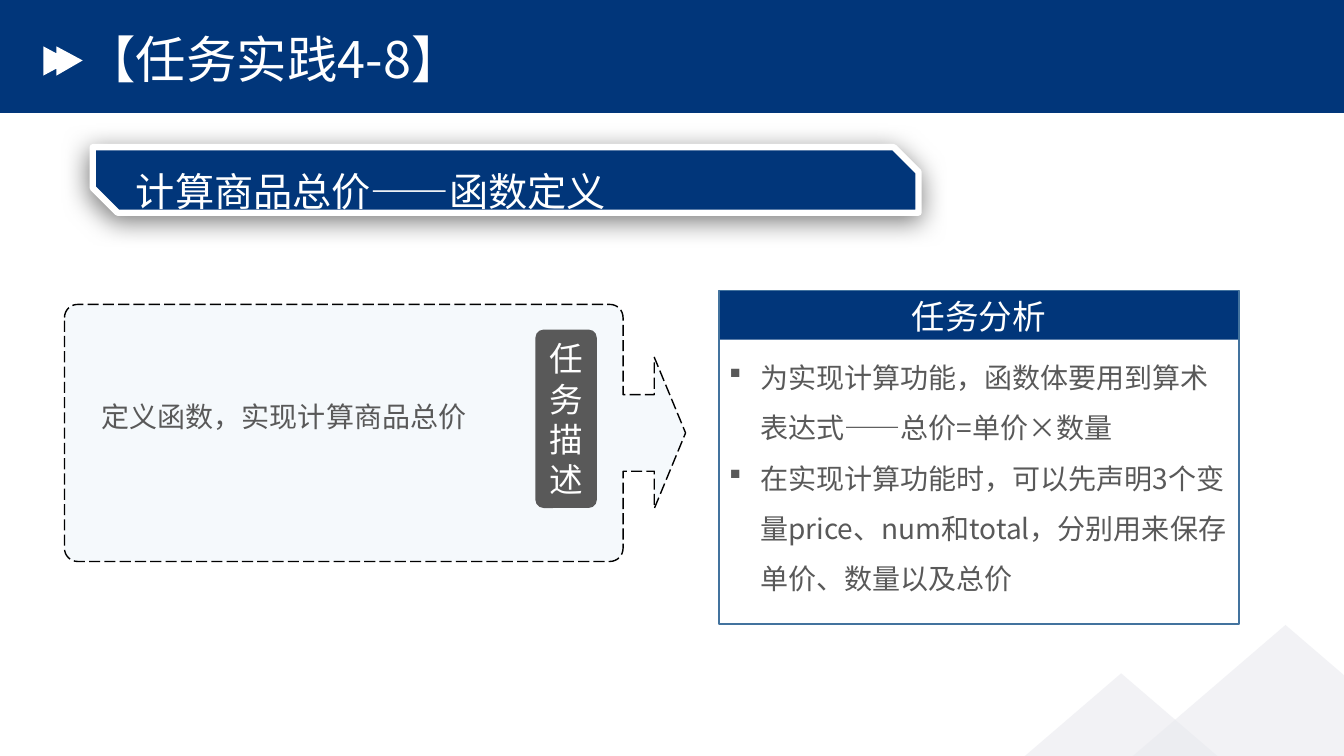
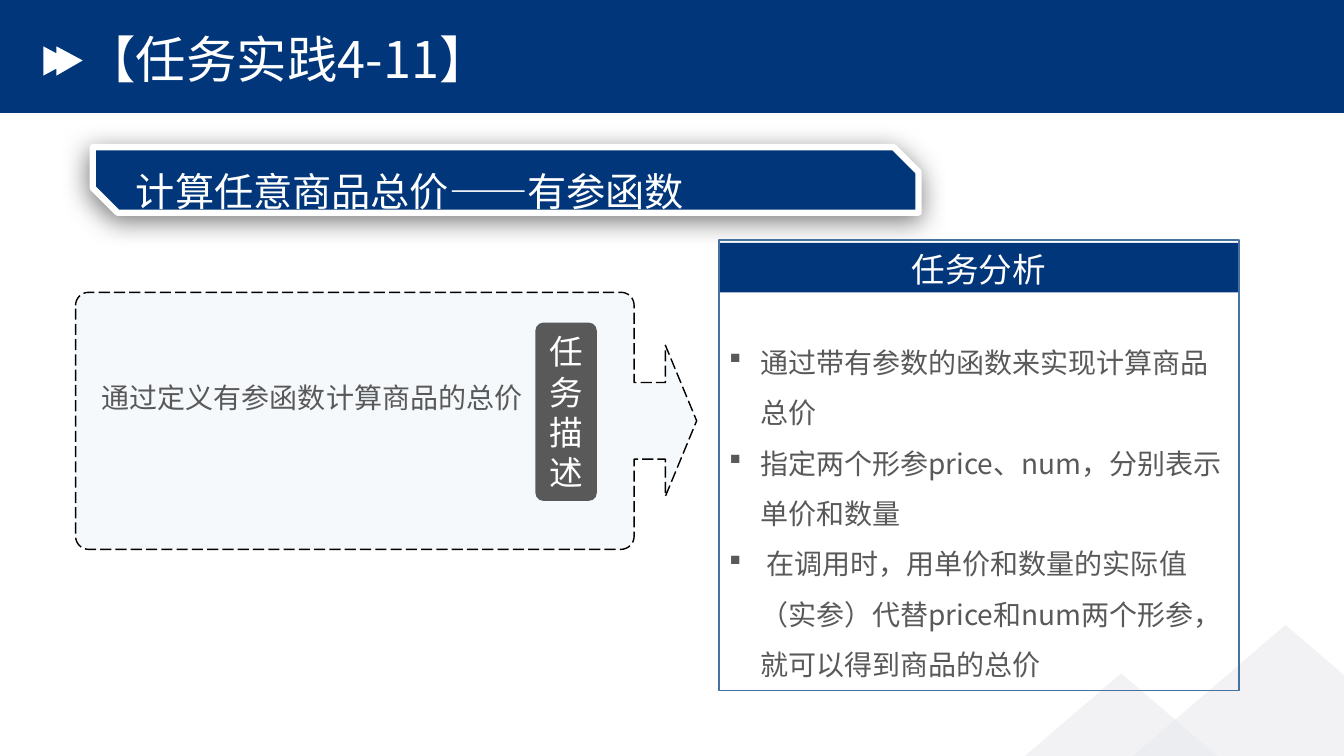
from math import cos, pi, sin

from pptx import Presentation
from pptx.dml.color import RGBColor
from pptx.enum.dml import MSO_LINE
from pptx.enum.shapes import MSO_SHAPE as SHAPE
from pptx.enum.text import MSO_ANCHOR as ANCHOR, PP_ALIGN as ALIGN
from pptx.oxml.ns import qn
from pptx.util import Inches, Pt
from lxml.etree import SubElement

NAVY = RGBColor(0x01, 0x36, 0x7A)
WHITE = RGBColor(0xFF, 0xFF, 0xFF)
BLACK = RGBColor(0x00, 0x00, 0x00)
GRAY = RGBColor(0x59, 0x59, 0x59)
MIST = RGBColor(0xE9, 0xEA, 0xEF)
SKY = RGBColor(0xBD, 0xD7, 0xEE)
STEEL = RGBColor(0x43, 0x73, 0x9E)
FONT = "Noto Sans CJK SC"
BADGE_FONT = "Calibri"

TASKS = [
    {
        "title": "【任务实践4-8】",
        "subtitle": "计算商品总价——函数定义",
        "callout": {"x": 0.64, "y": 3.02, "text": "定义函数，实现计算商品总价",
                    "text_at": (0.27, 0.79), "badge_at": (4.67, 0.25)},
        "panel": {"y": 2.88, "h": 3.31, "bar_gap": 0, "body_gap": 0.48, "items": [
            "为实现计算功能，函数体要用到算术表达式——总价=单价×数量",
            "在实现计算功能时，可以先声明3个变量price、num和total，分别用来保存单价、数量以及总价",
        ]},
    },
    {
        "title": "【任务实践4-11】",
        "subtitle": "计算任意商品总价——有参函数",
        "callout": {"x": 0.75, "y": 2.9, "text": "通过定义有参函数计算商品的总价",
                    "text_at": (0.16, 0.73), "badge_at": (4.56, 0.3)},
        "panel": {"y": 2.38, "h": 4.47, "bar_gap": 0.03, "body_gap": 0.83, "items": [
            "通过带有参数的函数来实现计算商品总价",
            "指定两个形参price、num，分别表示单价和数量",
            " 在调用时，用单价和数量的实际值（实参）代替price和num两个形参，就可以得到商品的总价",
        ]},
    },
]


def paint(sp, fill=None, line=None, width=1, alpha=None):
    sp.shadow.inherit = False
    if fill is None:
        sp.fill.background()
    else:
        sp.fill.solid()
        sp.fill.fore_color.rgb = fill
    if alpha is not None:
        color = sp.fill._xPr.find(qn("a:solidFill"))[0]
        SubElement(color, qn("a:alpha")).set("val", str(alpha * 1000))
    if line is None:
        sp.line.fill.background()
    else:
        sp.line.color.rgb = line
        sp.line.width = Pt(width)
    return sp


def add_shape(slide, kind, x, y, w, h, **style):
    sp = slide.shapes.add_shape(kind, Inches(x), Inches(y), Inches(w), Inches(h))
    return paint(sp, **style)


def add_outline(slide, points, **style):
    points = [(Inches(x), Inches(y)) for x, y in points]
    builder = slide.shapes.build_freeform(*points[0])
    builder.add_line_segments(points[1:], close=True)
    return paint(builder.convert_to_shape(), **style)


def write(sp, lines, size, color, font=FONT, align=ALIGN.LEFT,
          anchor=ANCHOR.TOP, spacing=1.0):
    tf = sp.text_frame
    tf.word_wrap = True
    tf.vertical_anchor = anchor
    tf.text = "\n".join(lines)
    for p in tf.paragraphs:
        p.alignment = align
        p.line_spacing = spacing
        for r in p.runs:
            r.font.size = Pt(size)
            r.font.name = font
            r.font.color.rgb = color
            SubElement(r.font._element, qn("a:ea")).set("typeface", font)
    return tf


def add_text(slide, x, y, w, h, lines, size, color, **style):
    sp = slide.shapes.add_textbox(Inches(x), Inches(y), Inches(w), Inches(h))
    return write(sp, lines, size, color, **style)


def add_bullet(p):
    pPr = p._p.get_or_add_pPr()
    pPr.set("marL", str(Inches(0.31)))
    pPr.set("indent", str(-Inches(0.31)))
    SubElement(pPr, qn("a:buFont")).set("typeface", "Wingdings")
    SubElement(pPr, qn("a:buChar")).set("char", "§")


def add_drop_shadow(sp):
    effects = sp._element.spPr.find(qn("a:effectLst"))
    shadow = SubElement(effects, qn("a:outerShdw"), blurRad=str(Pt(19)),
                        dist=str(Pt(4)), dir=str(112 * 60000), rotWithShape="0")
    color = SubElement(shadow, qn("a:srgbClr"), val=str(BLACK))
    SubElement(color, qn("a:alpha"), val="51000")


def add_header(slide, title):
    add_shape(slide, SHAPE.RECTANGLE, 0, 0, 13.33, 1.12, fill=NAVY)
    add_outline(slide, [(0.43, 0.46), (0.56, 0.53), (0.56, 0.46), (0.82, 0.6),
                        (0.56, 0.75), (0.56, 0.68), (0.43, 0.75)], fill=WHITE)
    add_text(slide, 0.75, 0.34, 6.58, 0.56, [title], 36, WHITE,
             anchor=ANCHOR.MIDDLE, spacing=0.9)


def add_hills(slide):
    for x, y in ((8.92, 6.68), (10.55, 6.2)):
        add_shape(slide, SHAPE.ISOSCELES_TRIANGLE, x, y, 4.4, 1.89,
                  fill=MIST, alpha=59)


def add_banner(slide, subtitle, x=0.92, y=1.46):
    sp = add_shape(slide, SHAPE.SNIP_2_DIAG_RECTANGLE, x, y, 8.19, 0.65,
                   fill=NAVY, line=WHITE, width=4.5)
    sp.adjustments[0] = 0
    sp.adjustments[1] = 0.378
    add_drop_shadow(sp)
    tf = add_text(slide, x + 0.33, y + 0.01, 7.4, 0.7, [subtitle], 28, WHITE,
                  spacing=1.3)
    tf.paragraphs[0].space_before = Pt(10)


def callout_points(x, y, w=5.54, h=2.55, radius=0.13, head=0.31, steps=8):
    def corner(cx, cy, start):
        angles = [start + pi / 2 * i / steps for i in range(steps + 1)]
        return [(cx + radius * cos(a), cy + radius * sin(a)) for a in angles]

    right, mid = x + w, y + h / 2
    near_x, far_x = x + radius, right - radius
    near_y, far_y = y + radius, y + h - radius
    neck, wing = 0.38, 0.75
    arrow = [(right, mid - neck), (right + head, mid - neck),
             (right + head, mid - wing), (right + 2 * head, mid),
             (right + head, mid + wing), (right + head, mid + neck),
             (right, mid + neck)]
    return (corner(near_x, near_y, pi) + corner(far_x, near_y, 1.5 * pi) + arrow
            + corner(far_x, far_y, 0) + corner(near_x, far_y, pi / 2))


def add_callout(slide, x, y, text, text_at, badge_at):
    sp = add_outline(slide, callout_points(x, y), fill=SKY, alpha=15, line=BLACK)
    sp.line.dash_style = MSO_LINE.LONG_DASH
    add_text(slide, x + text_at[0], y + text_at[1], 4.4, 0.5, [text], 20, GRAY,
             spacing=1.3)
    badge = add_shape(slide, SHAPE.ROUNDED_RECTANGLE, x + badge_at[0],
                      y + badge_at[1], 0.61, 1.77, fill=GRAY)
    badge.adjustments[0] = 0.133
    write(badge, ["任务描述"], 24, WHITE, font=BADGE_FONT, align=ALIGN.CENTER,
          anchor=ANCHOR.MIDDLE)


def add_panel(slide, y, h, bar_gap, body_gap, items, x=7.13, w=5.16):
    bar = add_shape(slide, SHAPE.RECTANGLE, x, y + bar_gap, w, 0.49, fill=NAVY)
    tf = write(bar, ["任务分析"], 24, WHITE, align=ALIGN.CENTER)
    tf.margin_top = Inches(0.06)
    tf = add_text(slide, x, y + body_gap, w, h - body_gap, items, 20, GRAY,
                  spacing=1.5)
    for p in tf.paragraphs:
        add_bullet(p)
    add_shape(slide, SHAPE.RECTANGLE, x, y, w, h, line=STEEL)


def add_task_slide(prs, task):
    slide = prs.slides.add_slide(prs.slide_layouts[6])
    add_hills(slide)
    add_header(slide, task["title"])
    add_banner(slide, task["subtitle"])
    add_callout(slide, **task["callout"])
    add_panel(slide, **task["panel"])


def main():
    prs = Presentation()
    prs.slide_width = Inches(13.33)
    prs.slide_height = Inches(7.5)
    for task in TASKS:
        add_task_slide(prs, task)
    prs.save("out.pptx")


if __name__ == "__main__":
    main()
